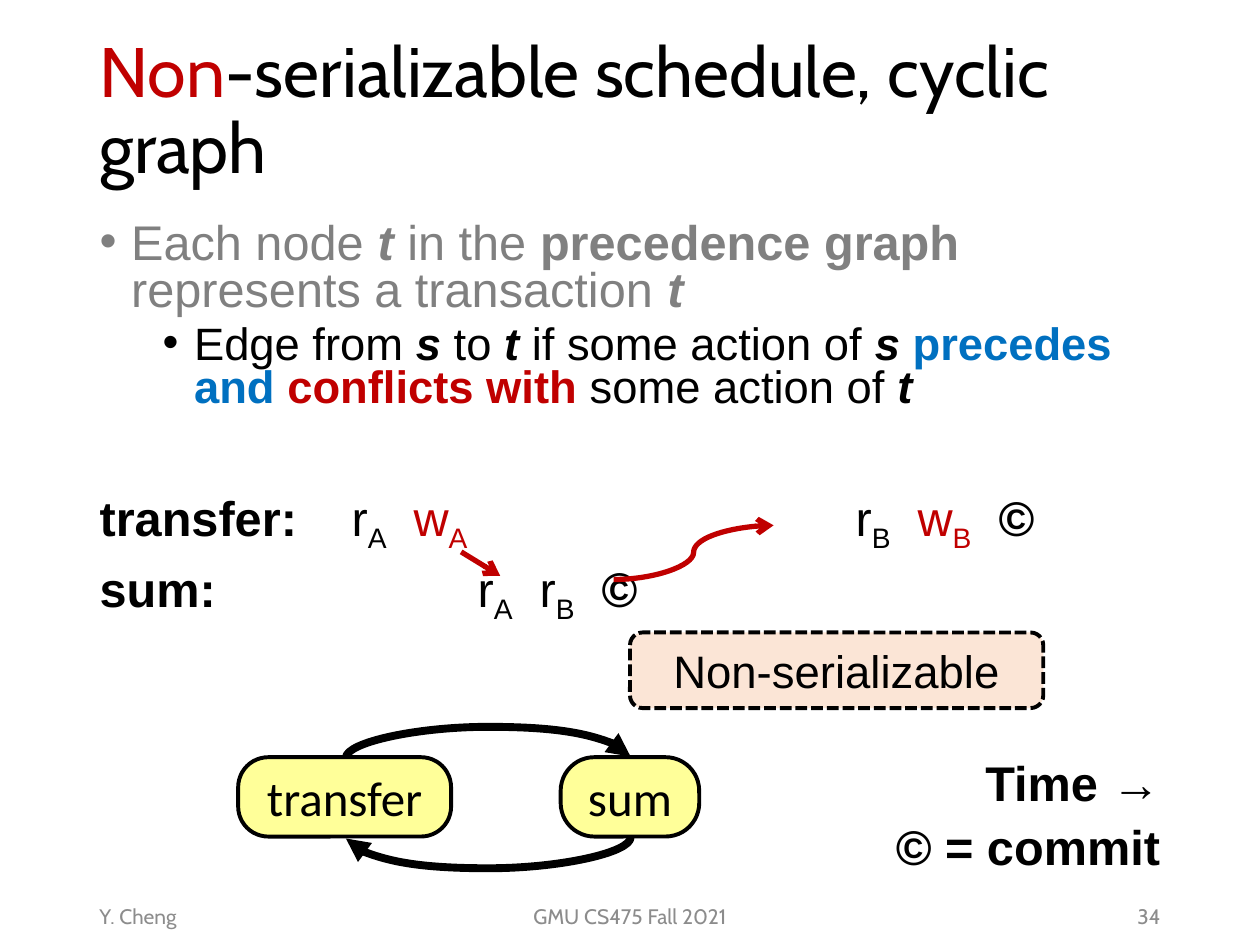
import pptx
import pptx.util
import pptx.dml.color
import pptx.enum.dml
import pptx.enum.shapes
import pptx.enum.text
import pptx.oxml
import pptx.oxml.ns

Inches, Pt = pptx.util.Inches, pptx.util.Pt
RGB = pptx.dml.color.RGBColor.from_string
ALIGN = pptx.enum.text.PP_ALIGN
SHAPE = pptx.enum.shapes.MSO_SHAPE
LINK = pptx.enum.shapes.MSO_CONNECTOR
DASH = pptx.enum.dml.MSO_LINE

THEME = {
    "black": "000000", "gray": "808080", "red": "C00000", "blue": "0070C0",
    "footer": "8C8C8C", "node": "FFFF99", "verdict": "FBE5D6",
    "text": "Arial", "head": "Cabin", "label": "Calibri",
    "title_size": 40, "body_size": 27.8, "sub_size": 25.9,
    "node_size": 28, "verdict_size": 26, "footer_size": 12,
}

TITLE = [("Non", "red"), ("-serializable schedule, cyclic graph", "")]

GAP = (" ", "gap")
BULLET = {"left": 0.25, "hang": 0.25, "bullet": True}
BODY = [
    ({**BULLET, "before": 0, "color": "gray"},
     [("Each node ", ""), ("t", "b i"), (" in the ", ""),
      ("precedence graph ", "b"), ("represents a transaction ", ""),
      ("t", "b i")]),
    ({**BULLET, "left": 0.75, "before": 5, "level": 1, "size": "sub_size"},
     [("Edge from ", ""), ("s", "b i"), (" to ", ""), ("t", "b i"),
      (" if some action of ", ""), ("s ", "b i"),
      ("precedes and ", "b blue"), ("conflicts with ", "b red"),
      ("some action of ", ""), ("t", "b i")]),
    ({"before": 46.8},
     [("transfer:\t", "b"), ("r", ""), ("A", "sub"), GAP, ("w", "red"),
      ("A", "sub red"), ("\t\t\t\tr", ""), ("B", "sub"), GAP, ("w", "red"),
      ("B", "sub red"), GAP, ("©", "b")]),
    ({"before": 10},
     [("sum:", "b"), ("\t\t\tr", ""), ("A", "sub"), GAP, ("r", ""),
      ("B", "sub"), GAP, ("©", "b")]),
    ({"before": 83.5, "align": ALIGN.RIGHT}, [("Time →", "b")]),
    ({"before": 10, "align": ALIGN.RIGHT}, [("© = commit", "b")]),
]

BOXES = [
    ("transfer", (1.89, 6.01, 1.69, 0.63), 0.379, "node", "label", "node_size", None),
    ("sum", (4.45, 6.01, 1.1, 0.63), 0.424, "node", "label", "node_size", None),
    ("Non-serializable", (5, 5.02, 3.28, 0.6), 0.167, "verdict", "text",
     "verdict_size", DASH.SQUARE_DOT),
]

CURVE = LINK.CURVE
CONFLICTS = [
    [(LINK.STRAIGHT, (3.66, 4.38, 3.97, 4.57), "red", 3, "arrow", None),
     (CURVE, (3.88, 7.14, 3.87, 4.88), "black", 4.5, "triangle", 0.25)],
    [(CURVE, (4.87, 4.6, 6.14, 4.17), "red", 3, "arrow", None),
     (CURVE, (3.87, 5.52, 3.88, 7.78), "black", 4.5, "triangle", 0.25)],
]

FOOTER = [
    ("Y. Cheng", 0.69, 2.25, ALIGN.LEFT),
    ("GMU CS475 Fall 2021", 3.31, 3.38, ALIGN.CENTER),
    ("34", 7.06, 2.25, ALIGN.RIGHT),
]


def add_xml(parent, tag, **attrs):
    el = pptx.oxml.parse_xml(f"<a:{tag} {pptx.oxml.ns.nsdecls('a')}/>")
    for key, value in attrs.items():
        el.set(key, str(value))
    parent.append(el)
    return el


def place(sp, box):
    for name, value in zip(("left", "top", "width", "height"), box):
        setattr(sp, name, Inches(value))


def frame(sp, anchor):
    fmt = {"word_wrap": True, "vertical_anchor": anchor,
           "auto_size": pptx.enum.text.MSO_AUTO_SIZE.NONE}
    for name, value in fmt.items():
        setattr(sp.text_frame, name, value)
    return sp.text_frame


def write(p, runs, font, size, color):
    for text, style in runs:
        marks = style.split()
        r = p.add_run()
        r.text = text
        fmt = {"name": THEME[font], "size": Pt(THEME[size]),
               "bold": "b" in marks, "italic": "i" in marks}
        for name, value in fmt.items():
            setattr(r.font, name, value)
        shade = next((m for m in marks if m in THEME), color)
        r.font.color.rgb = RGB(THEME[shade])
        if "sub" in marks:
            r.font._element.set("baseline", "-25000")
        if "gap" in marks:
            r.font._element.set("spc", "770")


def add_body(sp):
    place(sp, (0.69, 1.72, 8.62, 5.35))
    tf = frame(sp, pptx.enum.text.MSO_ANCHOR.TOP)
    for n, (opt, runs) in enumerate(BODY):
        p = tf.add_paragraph() if n else tf.paragraphs[0]
        pPr = p._p.get_or_add_pPr()
        pPr.set("marL", str(Inches(opt.get("left", 0))))
        pPr.set("indent", str(-Inches(opt.get("hang", 0))))
        pPr.set("defTabSz", str(Inches(1)))
        if opt.get("bullet"):
            add_xml(pPr, "buFont", typeface=THEME["text"])
            add_xml(pPr, "buChar", char="•")
        else:
            add_xml(pPr, "buNone")
        fmt = {"level": opt.get("level", 0), "line_spacing": 0.8,
               "space_before": Pt(opt["before"]), "space_after": Pt(0),
               "alignment": opt.get("align", ALIGN.LEFT)}
        for name, value in fmt.items():
            setattr(p, name, value)
        write(p, runs, "text", opt.get("size", "body_size"), opt.get("color", "black"))


def add_link(group, kind, ends, color, width, tail, bulge):
    cx = group.shapes.add_connector(kind, *map(Inches, ends))
    cx.line.color.rgb = RGB(THEME[color])
    cx.line.width = Pt(width)
    add_xml(cx.line._get_or_add_ln(), "tailEnd", type=tail)
    spPr = cx._element.spPr
    add_xml(spPr, "effectLst")
    if bulge:
        spPr.find(pptx.oxml.ns.qn("a:xfrm")).set("rot", "5400000")
        geom = spPr.find(pptx.oxml.ns.qn("a:prstGeom"))
        ratio = round(bulge / abs(ends[2] - ends[0]) * 100000)
        add_xml(geom.find(pptx.oxml.ns.qn("a:avLst")), "gd", name="adj1",
                fmla=f"val {ratio}")


def add_box(s, text, box, corner, fill, font, size, dash):
    sp = s.shapes.add_shape(SHAPE.ROUNDED_RECTANGLE, *map(Inches, box))
    sp.adjustments[0] = corner
    sp.shadow.inherit = False
    sp.fill.solid()
    sp.fill.fore_color.rgb = RGB(THEME[fill])
    sp.line.color.rgb = RGB(THEME["black"])
    sp.line.width = Pt(2.25)
    if dash:
        sp.line.dash_style = dash
    p = frame(sp, pptx.enum.text.MSO_ANCHOR.MIDDLE).paragraphs[0]
    p.alignment = ALIGN.CENTER
    write(p, [(text, "")], font, size, "black")


def main():
    prs = pptx.Presentation()
    prs.slide_width, prs.slide_height = Inches(10), Inches(7.5)
    s = prs.slides.add_slide(prs.slide_layouts[1])

    place(s.shapes.title, (0.69, 0.17, 8.62, 1.45))
    p = frame(s.shapes.title, pptx.enum.text.MSO_ANCHOR.MIDDLE).paragraphs[0]
    p.alignment, p.line_spacing = ALIGN.LEFT, 0.9
    write(p, TITLE, "head", "title_size", "black")
    add_body(s.placeholders[1])

    for box in BOXES:
        add_box(s, *box)
    for links in CONFLICTS:
        group = s.shapes.add_group_shape()
        for link in links:
            add_link(group, *link)

    for text, left, width, align in FOOTER:
        sp = s.shapes.add_textbox(*map(Inches, (left, 7.07, width, 0.4)))
        p = frame(sp, pptx.enum.text.MSO_ANCHOR.MIDDLE).paragraphs[0]
        p.alignment = align
        write(p, [(text, "")], "head", "footer_size", "footer")

    prs.save("out.pptx")


if __name__ == "__main__":
    main()
